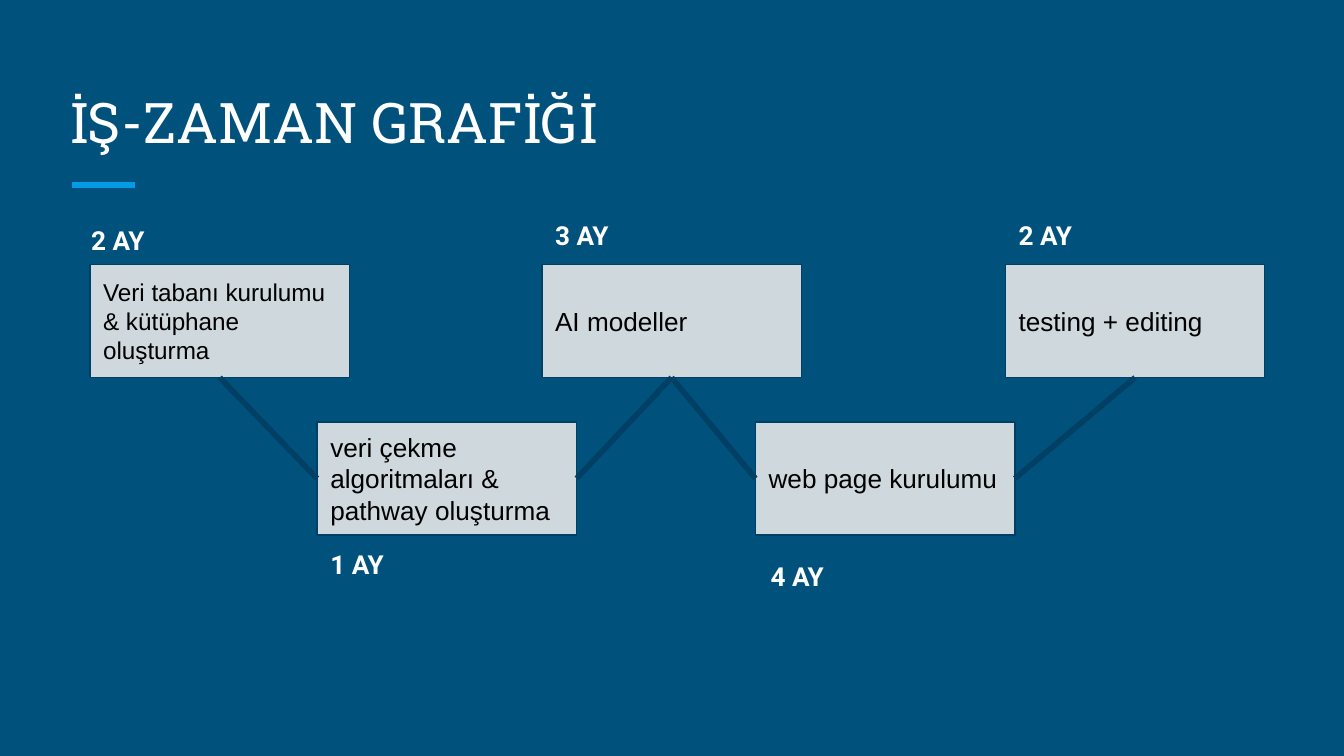
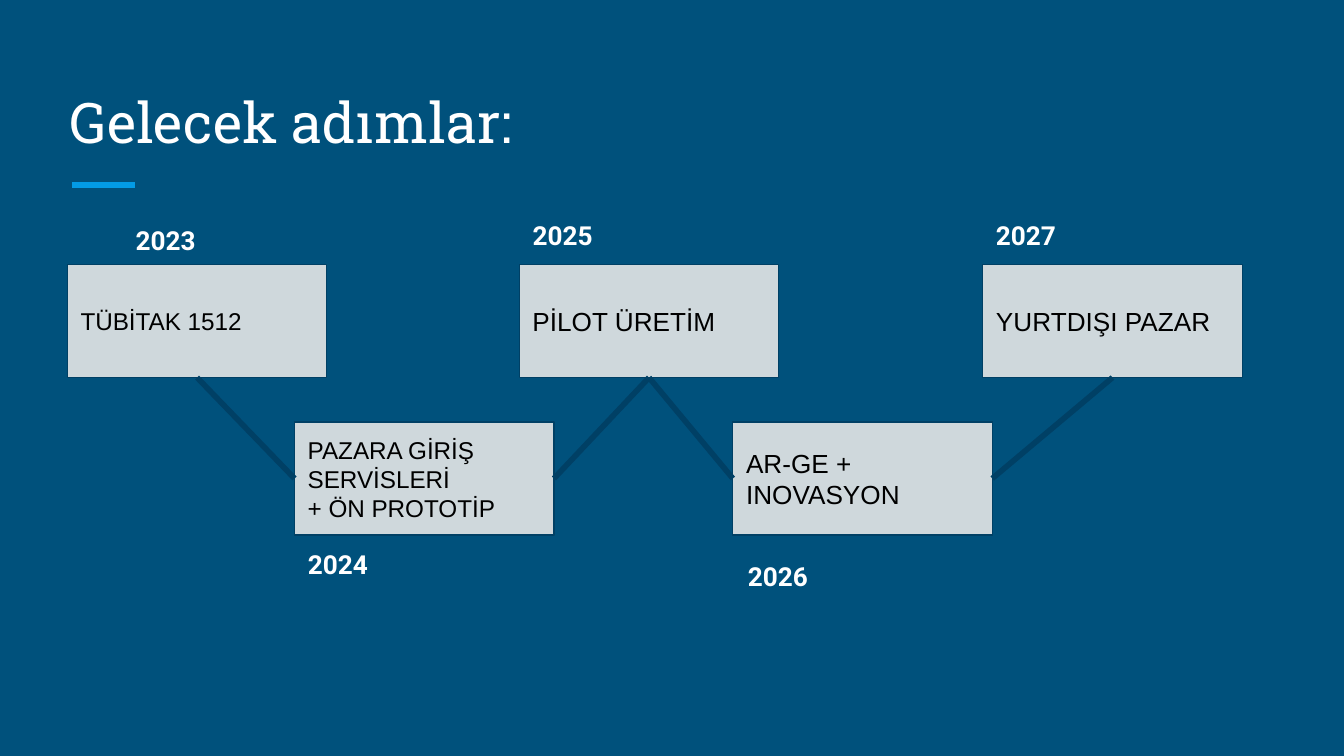
"""Build two zigzag timeline slides: the work schedule and the next steps."""
from pptx import Presentation
from pptx.dml.color import RGBColor
from pptx.enum.shapes import MSO_CONNECTOR, MSO_SHAPE
from pptx.enum.text import MSO_ANCHOR, PP_ALIGN
from pptx.oxml.ns import qn
from pptx.util import Pt

RECTANGLE = MSO_SHAPE.RECTANGLE
STRAIGHT = MSO_CONNECTOR.STRAIGHT
TOP, MIDDLE, BOTTOM = MSO_ANCHOR.TOP, MSO_ANCHOR.MIDDLE, MSO_ANCHOR.BOTTOM
LEFT = PP_ALIGN.LEFT
SIDE_LEFT, SIDE_BOTTOM, SIDE_RIGHT = 1, 2, 3

COLORS = {
    "background": "00517C",
    "accent": "039BE5",
    "step": "CFD8DC",
    "outline": "004065",
    "light": "FFFFFF",
    "dark": "000000",
}
FONTS = {
    "title": {"name": "Roboto Slab", "size": Pt(30)},
    "step": {"name": "Arial", "size": Pt(14)},
    "small step": {"name": "Arial", "size": Pt(13)},
    "label": {"name": "Roboto", "size": Pt(14), "bold": True},
}

SLIDES = [
    {
        "title": "İŞ-ZAMAN GRAFİĞİ",
        "left": 48.2,
        "first_indent": 0,
        "steps": [
            ("2 AY", ["Veri tabanı kurulumu & kütüphane oluşturma"], "small step"),
            ("1 AY", ["veri çekme algoritmaları & pathway oluşturma"], "step"),
            ("3 AY", ["AI modeller"], "step"),
            ("4 AY", ["web page kurulumu"], "step"),
            ("2 AY", ["testing + editing"], "step"),
        ],
    },
    {
        "title": "Gelecek adımlar:",
        "left": 36.1,
        "first_indent": 36,
        "steps": [
            ("2023", ["TÜBİTAK 1512"], "small step"),
            ("2024", ["PAZARA GİRİŞ SERVİSLERİ", "+ ÖN PROTOTİP"], "small step"),
            ("2025", ["PİLOT ÜRETİM"], "step"),
            ("2026", ["AR-GE + INOVASYON"], "step"),
            ("2027", ["YURTDIŞI PAZAR"], "step"),
        ],
    },
]

PAGE_WIDTH, PAGE_HEIGHT = 720, 405
STEP_WIDTH, STEP_HEIGHT = 139, 60.5
STEP_OFFSETS = [0, 121.7, 242.1, 356.5, 490.4]
ROW_TOPS = [141.8, 226.1]
LABEL_SHIFTS = [-6.5, 0, 0, 1, 0]
LABEL_TOPS = [113, 286.6, 110.2, 293, 110.2]
LABEL_WIDTHS = [101.5, 236.2, 236.2, 236.2, 236.2]
LABEL_HEIGHT = 31.7


def color(name):
    return RGBColor.from_string(COLORS[name])


def write(box, lines, font_name, text_color, anchor, indent=0):
    frame = box.text_frame
    settings = {"word_wrap": True, "vertical_anchor": anchor}
    for side in ("left", "top", "right", "bottom"):
        settings[f"margin_{side}"] = Pt(7.2)
    for key, value in settings.items():
        setattr(frame, key, value)
    for number, line in enumerate(lines):
        para = frame.add_paragraph() if number else frame.paragraphs[0]
        para.alignment = LEFT
        if indent:
            para._p.get_or_add_pPr().set("marL", str(Pt(indent)))
        span = para.add_run()
        span.text = line
        for key, value in FONTS[font_name].items():
            setattr(span.font, key, value)
        span.font.color.rgb = color(text_color)


def add_text(page, place, text, font_name, anchor=TOP, indent=0):
    box = page.shapes.add_textbox(*map(Pt, place))
    write(box, [text], font_name, "light", anchor, indent)


def add_step(page, left, top, lines, font_name):
    box = page.shapes.add_shape(
        RECTANGLE, Pt(left), Pt(top), Pt(STEP_WIDTH), Pt(STEP_HEIGHT))
    box.shadow.inherit = False
    box.fill.solid()
    box.fill.fore_color.rgb = color("step")
    box.line.color.rgb = color("outline")
    box.line.width = Pt(0.75)
    write(box, lines, font_name, "dark", MIDDLE)
    return box


def add_line(page, line_color, ends=(0, 0, 0, 0)):
    line = page.shapes.add_connector(STRAIGHT, *map(Pt, ends))
    line.line.color.rgb = color(line_color)
    line.line.width = Pt(3)
    properties = line._element.spPr
    properties.append(properties.makeelement(qn("a:effectLst"), {}))
    return line


def join(page, boxes):
    for index, (start, end) in enumerate(zip(boxes, boxes[1:])):
        goes_down = index % 2 == 0
        line = add_line(page, "outline")
        line.begin_connect(start, SIDE_BOTTOM if goes_down else SIDE_RIGHT)
        line.end_connect(end, SIDE_LEFT if goes_down else SIDE_BOTTOM)


def add_timeline(deck, content):
    page = deck.slides.add_slide(deck.slide_layouts[6])
    page.background.fill.solid()
    page.background.fill.fore_color.rgb = color("background")
    add_line(page, "accent", (38.6, 99.2, 72.3, 99.2))
    add_text(page, (30.2, 36, 659, 54), content["title"], "title", BOTTOM)

    lefts = [content["left"] + offset for offset in STEP_OFFSETS]
    boxes = [
        add_step(page, left, ROW_TOPS[index % 2], lines, font_name)
        for index, (left, (_, lines, font_name)) in enumerate(zip(lefts, content["steps"]))
    ]
    join(page, boxes)

    for index, (label, _, _) in enumerate(content["steps"]):
        left = lefts[index] + LABEL_SHIFTS[index]
        width = min(LABEL_WIDTHS[index], PAGE_WIDTH - left)
        indent = 0 if index else content["first_indent"]
        add_text(page, (left, LABEL_TOPS[index], width, LABEL_HEIGHT),
                 label, "label", indent=indent)


def main():
    deck = Presentation()
    deck.slide_width, deck.slide_height = Pt(PAGE_WIDTH), Pt(PAGE_HEIGHT)
    for content in SLIDES:
        add_timeline(deck, content)
    deck.save("out.pptx")


if __name__ == "__main__":
    main()
